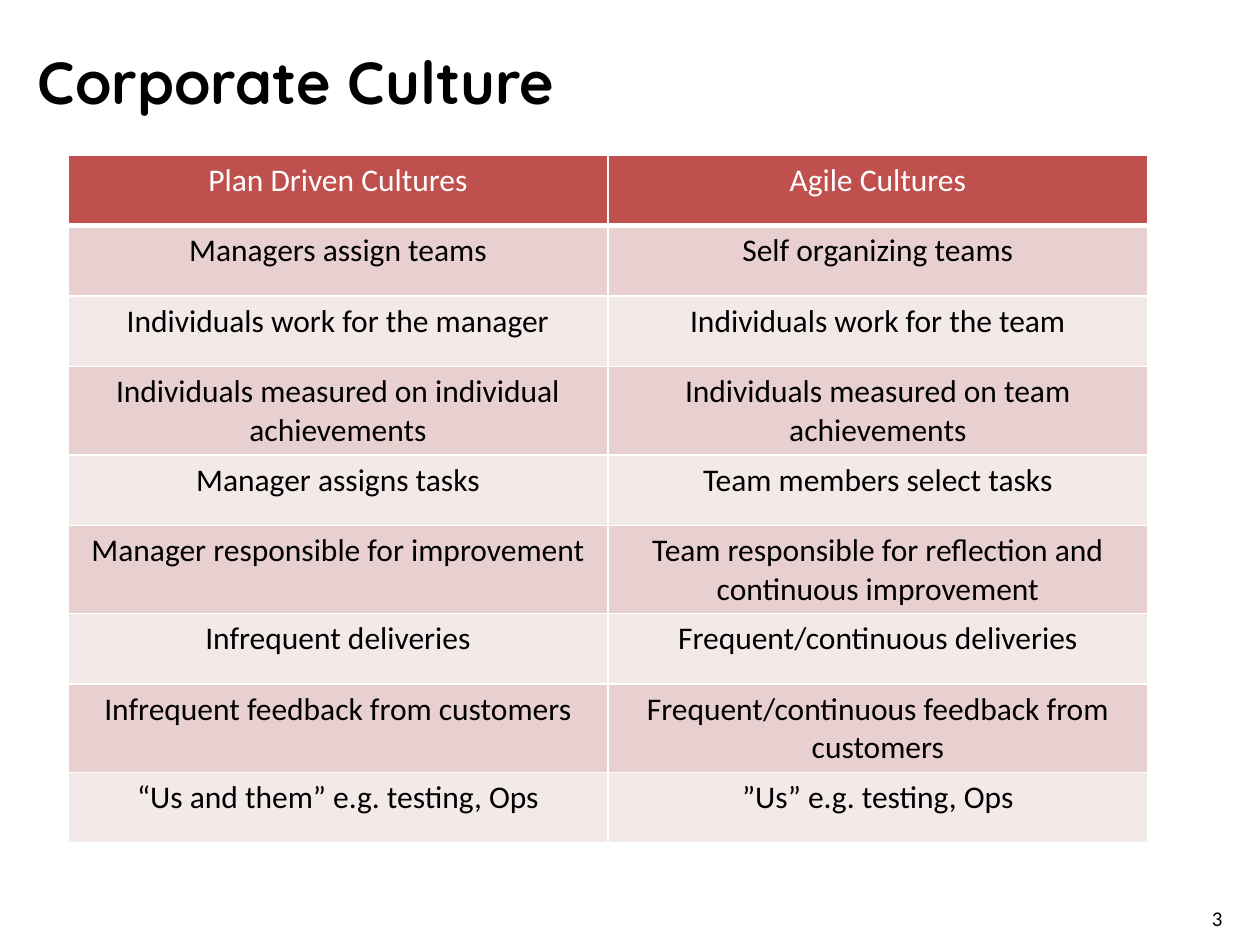
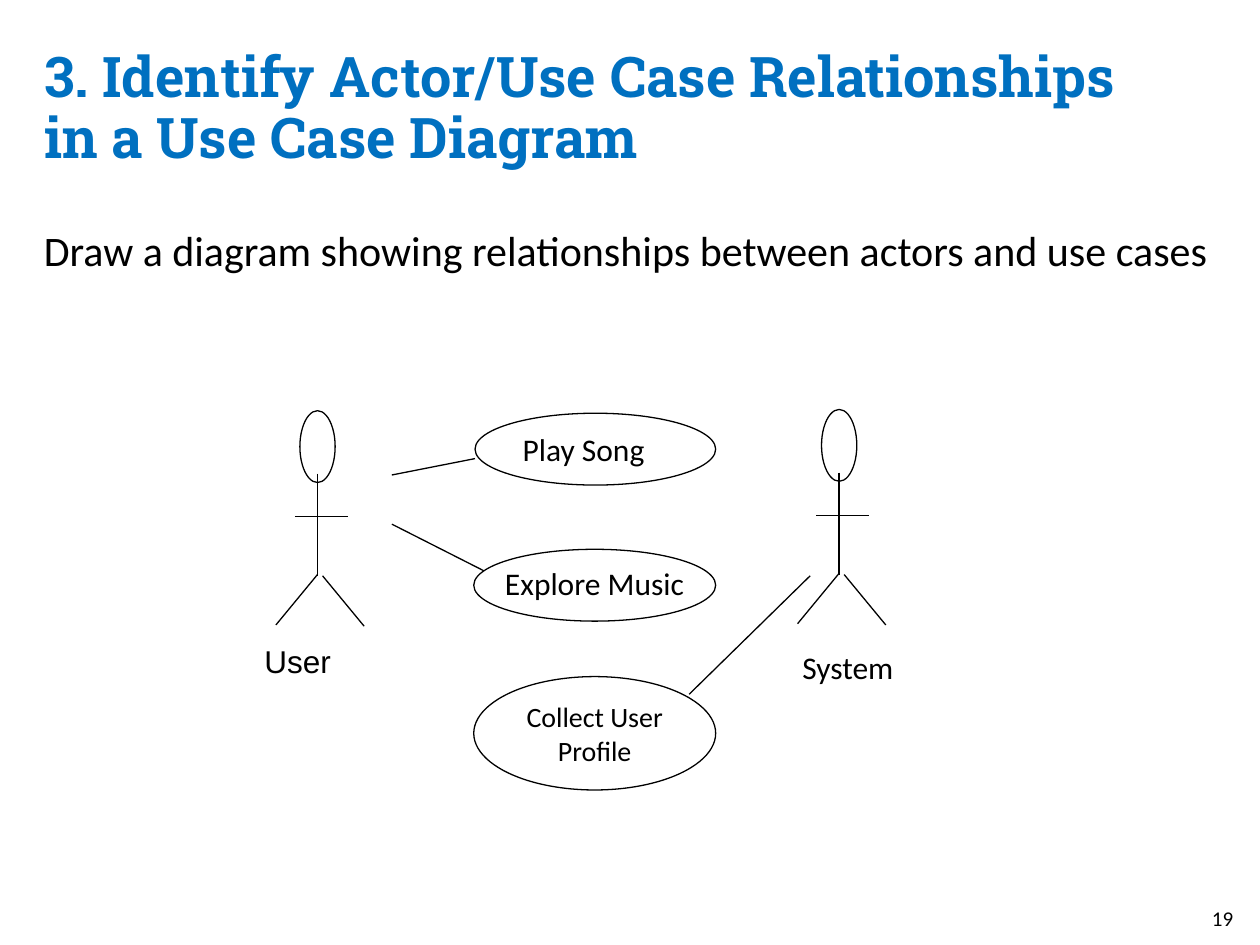
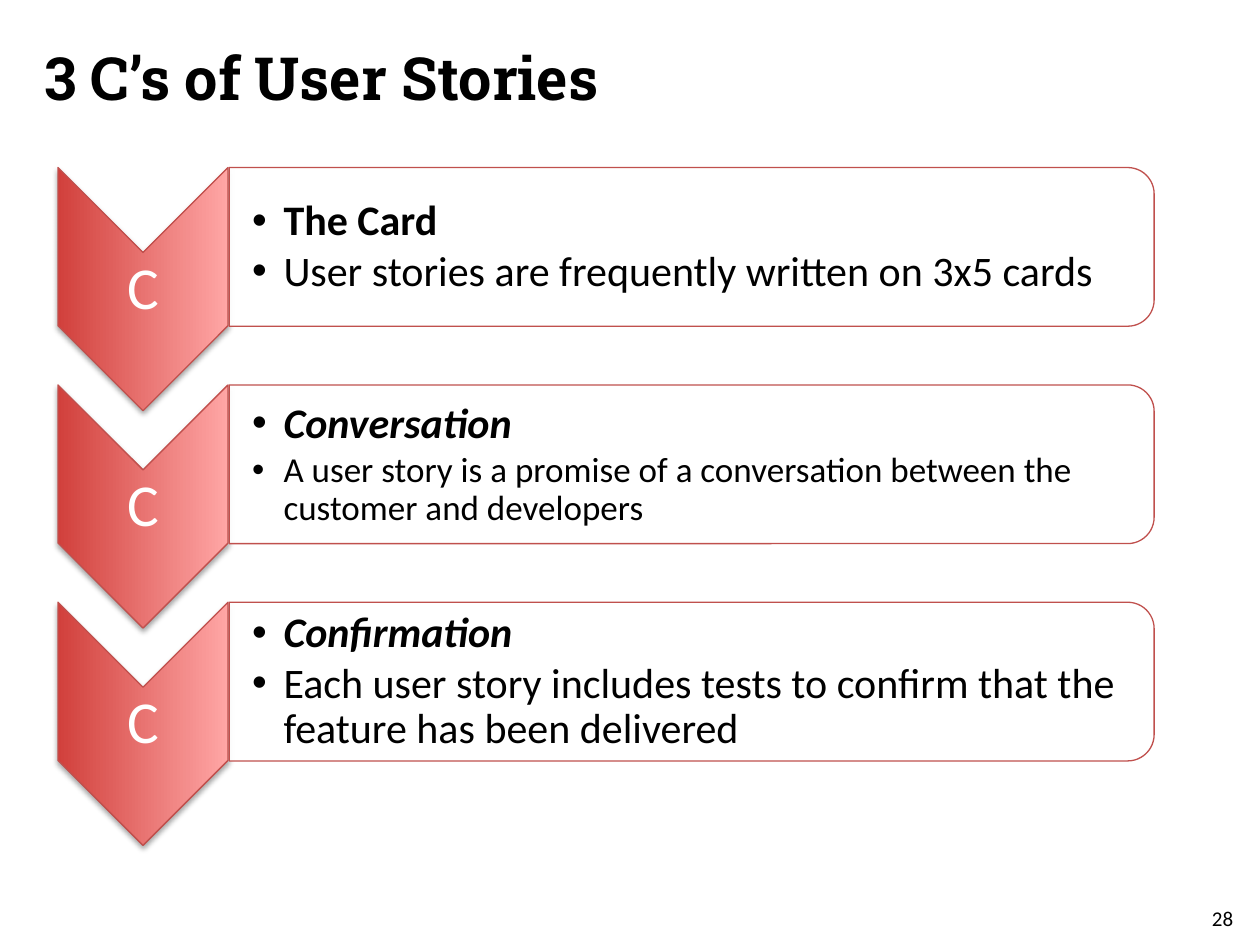
from lxml.etree import SubElement
from pptx import Presentation
from pptx.dml.color import RGBColor
from pptx.enum.shapes import MSO_CONNECTOR as Connector, MSO_SHAPE as Preset
from pptx.enum.text import MSO_ANCHOR as Anchor, MSO_AUTO_SIZE as AutoSize, PP_ALIGN as Align
from pptx.oxml.ns import qn
from pptx.util import Inches, Pt

BLACK = "000000"
WHITE = "FFFFFF"
RED = "C0504D"
BLUE = "0070C0"
BANDS = ["F4E9E9", "E8D0D0"]
GRADIENT = ["D1403C", "FFA6A5"]
BODY_FONT = "Calibri"
SLAB_FONT = "Roboto Slab"

CULTURES = [
    ("Plan Driven Cultures", "Agile Cultures"),
    ("Managers assign teams", "Self organizing teams"),
    ("Individuals work for the manager", "Individuals work for the team"),
    ("Individuals measured on individual achievements",
     "Individuals measured on team achievements"),
    ("Manager assigns tasks", "Team members select tasks"),
    ("Manager responsible for improvement",
     "Team responsible for reflection and continuous improvement"),
    ("Infrequent deliveries", "Frequent/continuous deliveries"),
    ("Infrequent feedback from customers", "Frequent/continuous feedback from customers"),
    ("“Us and them” e.g. testing, Ops", "”Us” e.g. testing, Ops"),
]

STORY_PARTS = [
    ("The Card", False, "User stories are frequently written on 3x5 cards", 24),
    ("Conversation", True,
     "A user story is a promise of a conversation between the customer and developers", 20),
    ("Confirmation", True,
     "Each user story includes tests to confirm that the feature has been delivered", 24),
]


def color(value):
    return RGBColor.from_string(value)


def inches(*lengths):
    return [Inches(length) for length in lengths]


def add_span(para, text, size, font=BODY_FONT, ink=BLACK, bold=False, italic=False):
    span = para.add_run()
    span.text = text
    span.font.size = Pt(size)
    span.font.name = font
    span.font.color.rgb = color(ink)
    span.font.bold = bold
    span.font.italic = italic


def set_margins(frame, left, top, right, bottom):
    frame.margin_left, frame.margin_top, frame.margin_right, frame.margin_bottom = inches(
        left, top, right, bottom)


def add_text(page, area, text, size, font=BODY_FONT, wrap=False):
    frame = page.shapes.add_textbox(*inches(*area)).text_frame
    frame.word_wrap = wrap
    add_span(frame.paragraphs[0], text, size, font)
    return frame


def add_page(deck, title, number, area, font=SLAB_FONT, size=34, ink=BLACK):
    page = deck.slides.add_slide(deck.slide_layouts[5])
    box = page.shapes.title
    box.left, box.top, box.width, box.height = inches(*area)
    frame = box.text_frame
    frame.auto_size = AutoSize.NONE
    frame.vertical_anchor = Anchor.TOP
    set_margins(frame, 0.1, 0.09, 0.1, 0.05)
    para = frame.paragraphs[0]
    para.alignment = Align.LEFT
    para.line_spacing = 0.9
    add_span(para, title, size, font, ink, bold=True)
    add_text(page, (9.52, 7.14, 0.4, 0.24), str(number), 12)
    return page


def add_outline(page, preset, area, line=BLACK):
    box = page.shapes.add_shape(preset, *inches(*area))
    box.shadow.inherit = False
    box.fill.background()
    box.line.color.rgb = color(line)
    box.line.width = Pt(0.75)
    return box


def add_line(page, x1, y1, x2, y2):
    line = page.shapes.add_connector(Connector.STRAIGHT, *inches(x1, y1, x2, y2))
    line.line.color.rgb = color(BLACK)
    line.line.width = Pt(0.75)
    SubElement(line._element.spPr, qn("a:effectLst"))


def add_border(cell, side, width):
    edge = SubElement(cell._tc.get_or_add_tcPr(), qn("a:ln" + side), w=str(Pt(width)))
    fill = SubElement(edge, qn("a:solidFill"))
    SubElement(fill, qn("a:srgbClr"), val=WHITE)


def add_culture_table(page, left, top, width, row_height):
    rows, columns = len(CULTURES), len(CULTURES[0])
    table = page.shapes.add_table(
        rows, columns, *inches(left, top, width, rows * row_height)).table
    for row, texts in enumerate(CULTURES):
        table.rows[row].height = Inches(row_height)
        for column, text in enumerate(texts):
            cell = table.cell(row, column)
            for side in "LRTB":
                thick = (row, side) in ((0, "B"), (1, "T"))
                add_border(cell, side, 3 if thick else 1)
            cell.fill.solid()
            cell.fill.fore_color.rgb = color(BANDS[row % 2] if row else RED)
            para = cell.text_frame.paragraphs[0]
            para.alignment = Align.CENTER
            add_span(para, text, 18, ink=BLACK if row else WHITE)


def add_actor(page, left, top):
    add_outline(page, Preset.OVAL, (left, top, 0.28, 0.57))
    limbs = [
        (0.14, 0.5, 0.14, 1.31),
        (0.14, 1.3, -0.19, 1.7),
        (0.18, 1.31, 0.51, 1.71),
        (-0.04, 0.84, 0.38, 0.84),
    ]
    for x1, y1, x2, y2 in limbs:
        add_line(page, left + x1, top + y1, left + x2, top + y2)


def add_use_case(page, area, text, size, align):
    frame = add_outline(page, Preset.OVAL, area).text_frame
    frame.word_wrap = True
    frame.vertical_anchor = Anchor.MIDDLE
    para = frame.paragraphs[0]
    para.alignment = align
    add_span(para, text, size)


def add_use_case_diagram(page, left, top):
    add_actor(page, left + 0.38, top + 0.01)
    add_actor(page, left + 4.52, top)
    add_use_case(page, (left + 1.77, top + 0.03, 1.91, 0.57), "Play Song", 18, Align.LEFT)
    add_outline(page, Preset.OVAL, (left + 1.76, top + 1.11, 1.92, 0.57))
    add_text(page, (left + 1.91, top + 1.18, 1.64, 0.4), "Explore Music", 18)
    add_use_case(page, (left + 1.76, top + 2.12, 1.92, 0.9), "Collect User Profile", 16,
                 Align.CENTER)
    links = [(1.11, 0.52, 1.77, 0.39), (1.11, 0.91, 1.84, 1.28), (4.43, 1.32, 3.47, 2.26)]
    for x1, y1, x2, y2 in links:
        add_line(page, left + x1, top + y1, left + x2, top + y2)
    add_text(page, (left, top + 1.8, 0.74, 0.4), "User", 18, "Arial")
    add_text(page, (left + 4.27, top + 1.84, 0.94, 0.4), "System", 18)


def add_turned(page, preset, left, top, width, height):
    shift = (width - height) / 2
    box = add_outline(page, preset, (left + shift, top - shift, height, width), RED)
    box.rotation = 90
    return box


def add_chevron(page, left, top, width, height):
    box = add_turned(page, Preset.CHEVRON, left, top, width, height)
    box.fill.gradient()
    box.fill.gradient_angle = 90
    for stop, value in zip(box.fill.gradient_stops, GRADIENT):
        stop.color.rgb = color(value)
    effects = box._element.spPr.find(qn("a:effectLst"))
    shadow = SubElement(effects, qn("a:outerShdw"), blurRad=str(Pt(3.1)), dist=str(Pt(1.8)),
                        dir="5400000", rotWithShape="0")
    shade = SubElement(shadow, qn("a:srgbClr"), val=BLACK)
    SubElement(shade, qn("a:alpha"), val="35000")
    frame = add_letter_frame(page, (left, top + 0.68, width, 0.58), 0.02)
    para = frame.paragraphs[0]
    para.alignment = Align.CENTER
    para.line_spacing = 0.9
    add_span(para, "C", 34, ink=WHITE)


def add_letter_frame(page, area, indent):
    frame = page.shapes.add_textbox(*inches(*area)).text_frame
    frame.word_wrap = True
    frame.vertical_anchor = Anchor.MIDDLE
    set_margins(frame, indent, 0.02, 0.02, 0.02)
    return frame


def format_bullet(para):
    props = para._p.get_or_add_pPr()
    props.set("marL", str(Inches(0.25)))
    props.set("indent", str(Inches(-0.25)))
    para.line_spacing = 0.9
    para.space_after = Pt(3)
    SubElement(props, qn("a:buFont"), typeface="Arial")
    SubElement(props, qn("a:buChar"), char="•")


def add_story_part(page, left, top, heading, italic, detail, size):
    add_chevron(page, left, top, 1.35, 1.93)
    panel = add_turned(page, Preset.ROUND_2_SAME_RECTANGLE, left + 1.36, top, 7.34, 1.26)
    panel.fill.solid()
    panel.fill.fore_color.rgb = color(WHITE)
    tint = panel._element.spPr.find(qn("a:solidFill")).find(qn("a:srgbClr"))
    SubElement(tint, qn("a:alpha"), val="90000")
    frame = add_letter_frame(page, (left + 1.35, top + 0.07, 7.28, 1.13), 0.19)
    first, second = frame.paragraphs[0], frame.add_paragraph()
    for para in (first, second):
        format_bullet(para)
    add_span(first, heading, 24, bold=True, italic=italic)
    add_span(second, detail, size)


def build_culture(deck):
    page = add_page(deck, "Corporate Culture", 3, (0.2, 0.33, 8.67, 1.25), "Quicksand")
    add_culture_table(page, 0.54, 1.23, 8.57, 0.56)


def build_use_cases(deck):
    page = add_page(deck, "3. Identify Actor/Use Case Relationships in a Use Case Diagram", 19,
                    (0.25, 0.3, 8.94, 1.25), size=32, ink=BLUE)
    add_text(page, (0.25, 1.73, 9.5, 4.93),
             "Draw a diagram showing relationships between actors and use cases", 24, wrap=True)
    add_use_case_diagram(page, 2, 3.25)


def build_stories(deck):
    page = add_page(deck, "3 C’s of User Stories", 28, (0.25, 0.3, 8.67, 1.25))
    for index, part in enumerate(STORY_PARTS):
        add_story_part(page, 0.46, 1.33 + index * 1.725, *part)


def main():
    deck = Presentation()
    deck.slide_width, deck.slide_height = inches(10, 7.5)
    build_culture(deck)
    build_use_cases(deck)
    build_stories(deck)
    deck.save("out.pptx")


if __name__ == "__main__":
    main()
